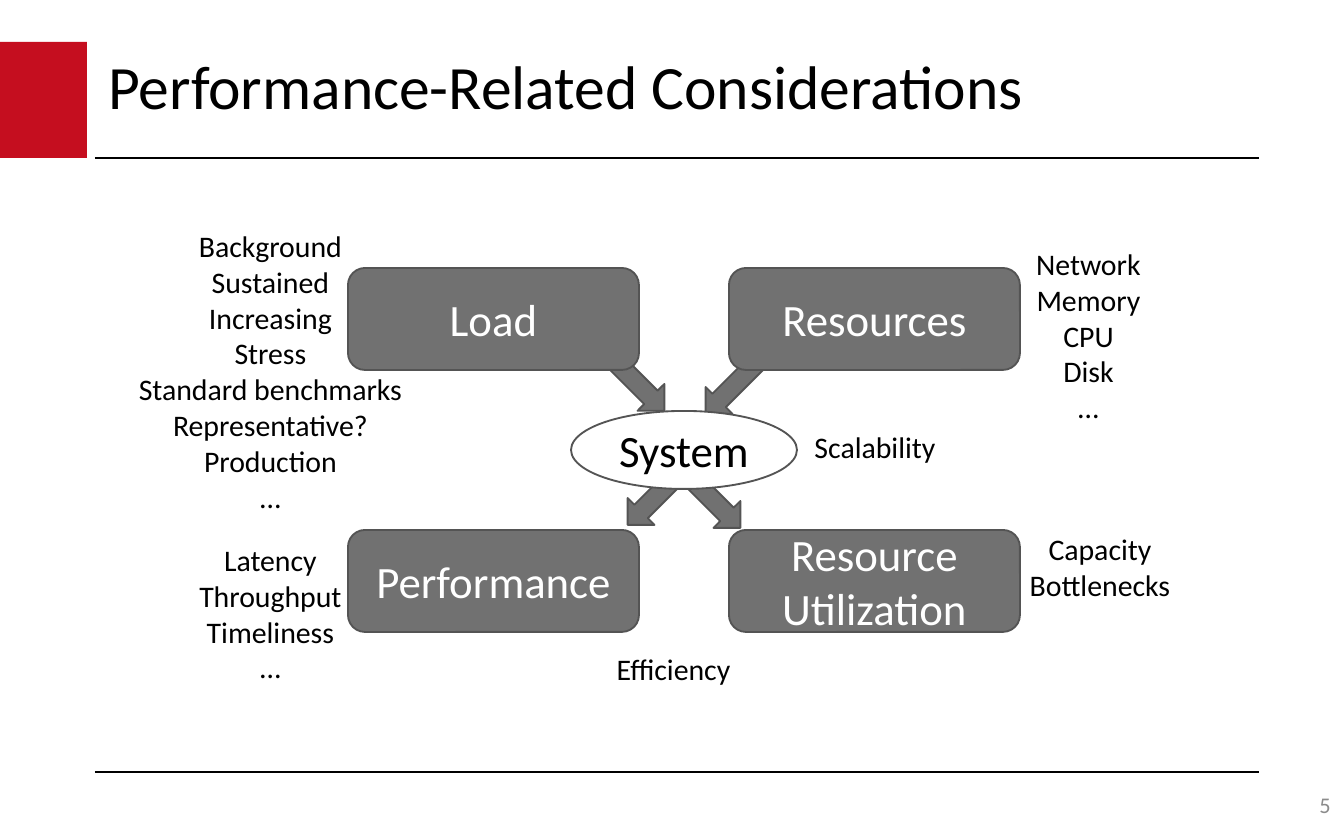
"""Builds the slide on performance-related considerations."""
from lxml import etree
from pptx import Presentation, util as u
from pptx.dml.color import RGBColor
from pptx.enum import shapes, text
from pptx.oxml.ns import qn

COLORS = {"red": "C50E1F", "gray": "717171", "edge": "545454",
          "black": "000000", "white": "FFFFFF", "number": "8C8C8C"}
SHAPE = shapes.MSO_SHAPE
ALIGN = text.PP_ALIGN
MIDDLE = text.MSO_ANCHOR.MIDDLE


class Deck:
    """Holds the style and the current slide."""

    font = "Calibri"
    scale = 914400 / 134.4

    def __init__(self, width, height):
        """Starts a presentation with one titled slide."""
        self.prs = Presentation()
        self.prs.slide_width, self.prs.slide_height = self.emu(width, height)
        self.s = self.prs.slides.add_slide(self.prs.slide_layouts[5])

    def emu(self, *pixels):
        """Turns pixels into EMU."""
        return [u.Emu(round(v * self.scale)) for v in pixels]

    def color(self, name):
        """Looks up a colour."""
        return RGBColor.from_string(COLORS[name])

    def set_text(self, tf, content, size, color="black", align=ALIGN.CENTER):
        """Fills a text frame and formats its paragraphs."""
        tf.text = content
        for p in tf.paragraphs:
            p.alignment = align
            p.font.name, p.font.size = self.font, u.Pt(size)
            p.font.color.rgb = self.color(color)

    def title(self, content, *box):
        """Places the title."""
        sp = self.s.shapes.title
        sp.left, sp.top, sp.width, sp.height = self.emu(*box)
        tf = sp.text_frame
        self.set_text(tf, content, 33, align=ALIGN.LEFT)
        tf.vertical_anchor = MIDDLE
        tf.paragraphs[0].line_spacing = 0.9

    def shape(self, kind, *box, fill="gray", line="edge", label="", ink="white", rotation=0):
        """Draws a preset shape with an optional label."""
        sp = self.s.shapes.add_shape(kind, *self.emu(*box))
        sp.shadow.inherit = False
        sp.rotation = rotation
        sp.fill.solid()
        sp.fill.fore_color.rgb = self.color(fill)
        if line:
            sp.line.color.rgb = self.color(line)
            sp.line.width = u.Pt(1)
        else:
            sp.line.fill.background()
        if label:
            self.set_text(sp.text_frame, label, 24, ink)
            sp.text_frame.vertical_anchor = MIDDLE

    def rule(self, x1, x2, y):
        """Draws a horizontal rule."""
        cx = self.s.shapes.add_connector(shapes.MSO_CONNECTOR.STRAIGHT, *self.emu(x1, y, x2, y))
        cx.line.color.rgb = self.color("black")
        cx.line.width = u.Pt(0.75)
        etree.SubElement(cx._element.spPr, qn("a:effectLst"))

    def note(self, content, *box):
        """Adds a centred note with one paragraph per line."""
        tf = self.s.shapes.add_textbox(*self.emu(*box)).text_frame
        tf.word_wrap = False
        tf.auto_size = text.MSO_AUTO_SIZE.SHAPE_TO_FIT_TEXT
        self.set_text(tf, content, 16)

    def number(self, content, *box):
        """Adds the slide number."""
        tf = self.s.shapes.add_textbox(*self.emu(*box)).text_frame
        tf.word_wrap = True
        tf.vertical_anchor = MIDDLE
        self.set_text(tf, content, 12, "number", ALIGN.RIGHT)


deck = Deck(1344, 840)
deck.shape(SHAPE.RECTANGLE, 0, 42, 87, 116, fill="red", line=None)
for y in (158, 772):
    deck.rule(95, 1259, y)
deck.title("Performance-Related Considerations", 95, 42, 975, 95)
deck.number("5", 1071, 789, 273, 32)

for x, y, angle in ((692, 362, 135), (585, 359, 45), (614, 473, 135), (661, 476, 45)):
    deck.shape(SHAPE.RIGHT_ARROW, x, y, 93, 38, rotation=angle)

topics = (("Load", "Resources"), ("Performance", "Resource\vUtilization"))
for y, row in zip((268, 530), topics):
    for x, topic in zip((348, 729), row):
        deck.shape(SHAPE.ROUNDED_RECTANGLE, x, y, 291, 102, label=topic)
deck.shape(SHAPE.OVAL, 571, 411, 226, 78, fill="white", label="System", ink="black")

notes = (
    ("Efficiency", 602, 644, 143, 50),
    ("Network\nMemory\nCPU\nDisk\n…", 1022, 239, 133, 195),
    ("Latency\nThroughput\nTimeliness\n…", 185, 535, 171, 159),
    ("Scalability", 800, 422, 150, 50),
    ("Capacity\nBottlenecks", 1015, 524, 170, 86),
    ("Background\nSustained\nIncreasing\nStress\nStandard benchmarks\n"
     "Representative?\nProduction\n…", 124, 221, 293, 304),
)
for note in notes:
    deck.note(*note)

deck.prs.save("out.pptx")
